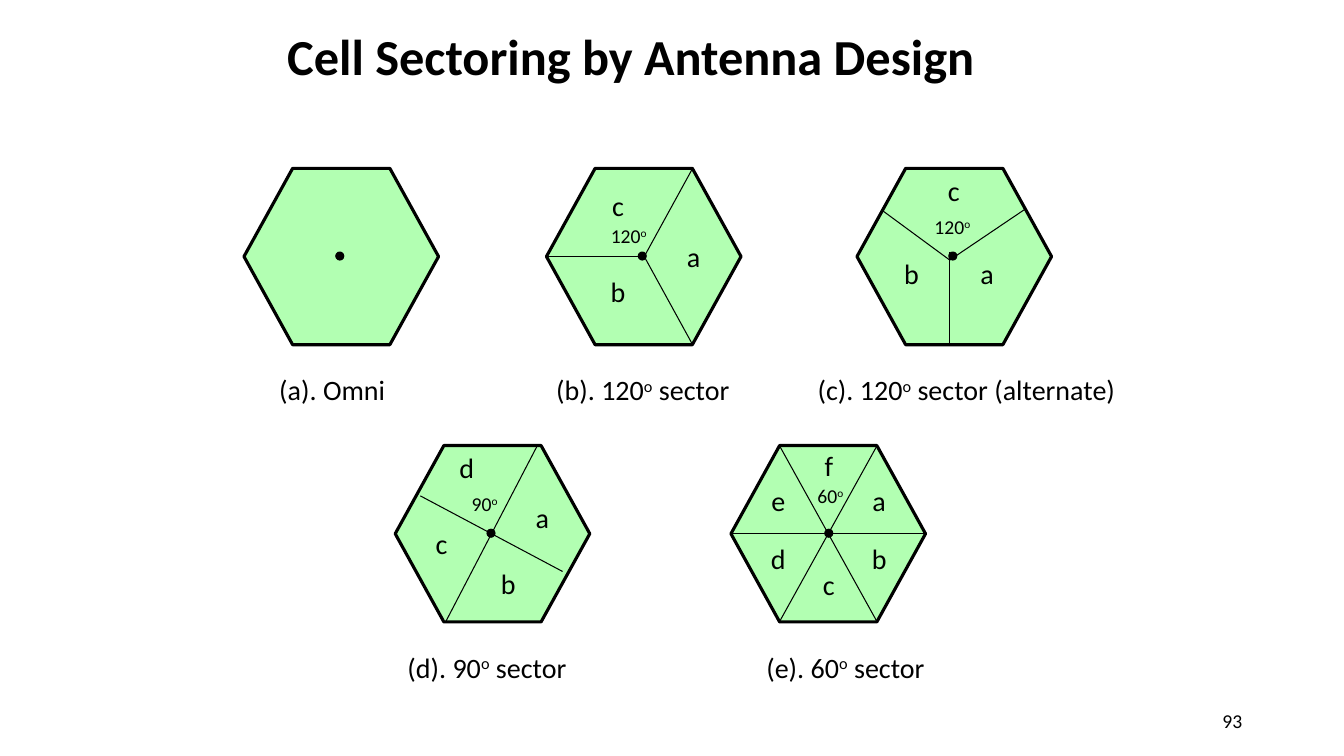
from lxml import etree
from pptx import Presentation
from pptx.dml.color import RGBColor
from pptx.enum import shapes, text
from pptx.oxml import ns
from pptx.util import Inches, Pt

TITLE, PAGE = "Cell Sectoring by Antenna Design", "93"
FONT = "Calibri"
COLORS = {"ink": "000000", "cell": "66FF66"}
WIDE, HIGH, DOT = 1.93, 1.75, 0.08
MID = HIGH / 2
TOPS = (1.67, 4.42)
CELLS = [
    {"left": 2.42, "row": 0, "dot": 0.91, "lines": [], "angle": None, "marks": {},
     "label": ["(a). Omni"], "box": (0, 1.75)},
    {"left": 5.42, "row": 0, "dot": 0.91,
     "lines": [(0, MID, 0.97, MID), (0.97, MID, 1.45, 0), (0.97, MID, 1.45, HIGH)],
     "angle": ("120", 0.54, 0.5, 0.7),
     "marks": {"a": (1.25, 0.66), "b": (0.5, 1), "c": (0.5, 0.15)},
     "label": ["(b). 120", "o", " sector"], "box": (-0.17, 2.25)},
    {"left": 8.5, "row": 0, "dot": 0.91,
     "lines": [(0.24, 0.41, 0.92, 0.91), (0.92, 0.91, 1.66, 0.41), (0.92, 0.83, 0.92, HIGH)],
     "angle": ("120", 0.67, 0.41, 0.7),
     "marks": {"a": (1.08, 0.83), "b": (0.33, 0.83), "c": (0.75, 0)},
     "label": ["(c). 120", "o", " sector (alternate)"], "box": (-0.58, 3.33)},
    {"left": 3.92, "row": 1, "dot": 0.91,
     "lines": [(0.25, 0.5, 1.66, 1.25), (0.5, HIGH, 1.41, 0)],
     "angle": ("90", 0.66, 0.41, 0.56),
     "marks": {"a": (1.25, 0.5), "b": (0.91, 1.15), "c": (0.25, 0.75), "d": (0.5, 0)},
     "label": ["(d). 90", "o", " sector"], "box": (-0.09, 2)},
    {"left": 7.25, "row": 1, "dot": 0.93,
     "lines": [(0, MID, WIDE, MID), (0.48, HIGH, 1.45, 0), (0.48, 0, 1.45, HIGH)],
     "angle": ("60", 0.76, 0.33, 0.56),
     "marks": {"a": (1.26, 0.33), "b": (1.26, 0.9), "c": (0.76, 1.16),
               "d": (0.26, 0.9), "e": (0.26, 0.33), "f": (0.76, -0.02)},
     "label": ["(e). 60", "o", " sector"], "box": (0.01, 2.25)},
]


def paint(name):
    return RGBColor.from_string(COLORS[name])


def write(slide, parts, box, size, align="CENTER", anchor="TOP", bold=False):
    frame = slide.shapes.add_textbox(*map(Inches, box)).text_frame
    frame.word_wrap = True
    frame.vertical_anchor = getattr(text.MSO_ANCHOR, anchor)
    para = frame.paragraphs[0]
    para.alignment = getattr(text.PP_ALIGN, align)
    for part in parts:
        run = para.add_run()
        run.text = part
        run.font.name, run.font.size, run.font.bold = FONT, Pt(size), bold
        run.font.color.rgb = paint("ink")
        if part == "o":
            run._r.get_or_add_rPr().set("baseline", "30000")
    return para


def draw(slide, kind, box, fill, width):
    shape = slide.shapes.add_shape(getattr(shapes.MSO_SHAPE, kind), *map(Inches, box))
    shape.shadow.inherit = False
    shape.fill.solid()
    shape.fill.fore_color.rgb = paint(fill)
    shape.line.color.rgb = paint("ink")
    shape.line.width = Pt(width)
    return shape


def rule(slide, ends):
    line = slide.shapes.add_connector(shapes.MSO_CONNECTOR.STRAIGHT, *map(Inches, ends))
    line.line.color.rgb = paint("ink")
    line.line.width = Pt(0.75)
    etree.SubElement(line._element.spPr, ns.qn("a:effectLst"))


def sector(slide, cell):
    x, y = cell["left"], TOPS[cell["row"]]
    hexa = draw(slide, "HEXAGON", (x, y, WIDE, HIGH), "cell", 2.25)
    hexa.adjustments[0] = 0.276
    tint = hexa._element.spPr.find(".//" + ns.qn("a:srgbClr"))
    etree.SubElement(tint, ns.qn("a:alpha"), val="50000")
    for x1, y1, x2, y2 in cell["lines"]:
        rule(slide, (x + x1, y + y1, x + x2, y + y2))
    draw(slide, "OVAL", (x + cell["dot"], y + 0.83, DOT, DOT), "ink", 0.75)
    if cell["angle"]:
        value, dx, dy, width = cell["angle"]
        write(slide, [value, "o"], (x + dx, y + dy, width, 0.33), 14, "LEFT")
    for mark, (dx, dy) in cell["marks"].items():
        write(slide, [mark], (x + dx, y + dy, 0.42, 0.43), 20)
    dx, width = cell["box"]
    write(slide, cell["label"], (x + dx, y + 1.98, width, 0.43), 20)


def main():
    """Build the slide of five cells split into antenna sectors."""
    deck = Presentation()
    deck.slide_width, deck.slide_height = Inches(13.33), Inches(7.5)
    slide = deck.slides.add_slide(deck.slide_layouts[6])
    head = write(slide, [TITLE], (2.75, 0.17, 8.5, 0.83), 36, "LEFT", "MIDDLE", True)
    head.line_spacing = 0.9
    for cell in CELLS:
        sector(slide, cell)
    write(slide, [PAGE], (9.42, 6.95, 3, 0.4), 14, "RIGHT", "MIDDLE")
    deck.save("out.pptx")


if __name__ == "__main__":
    main()
